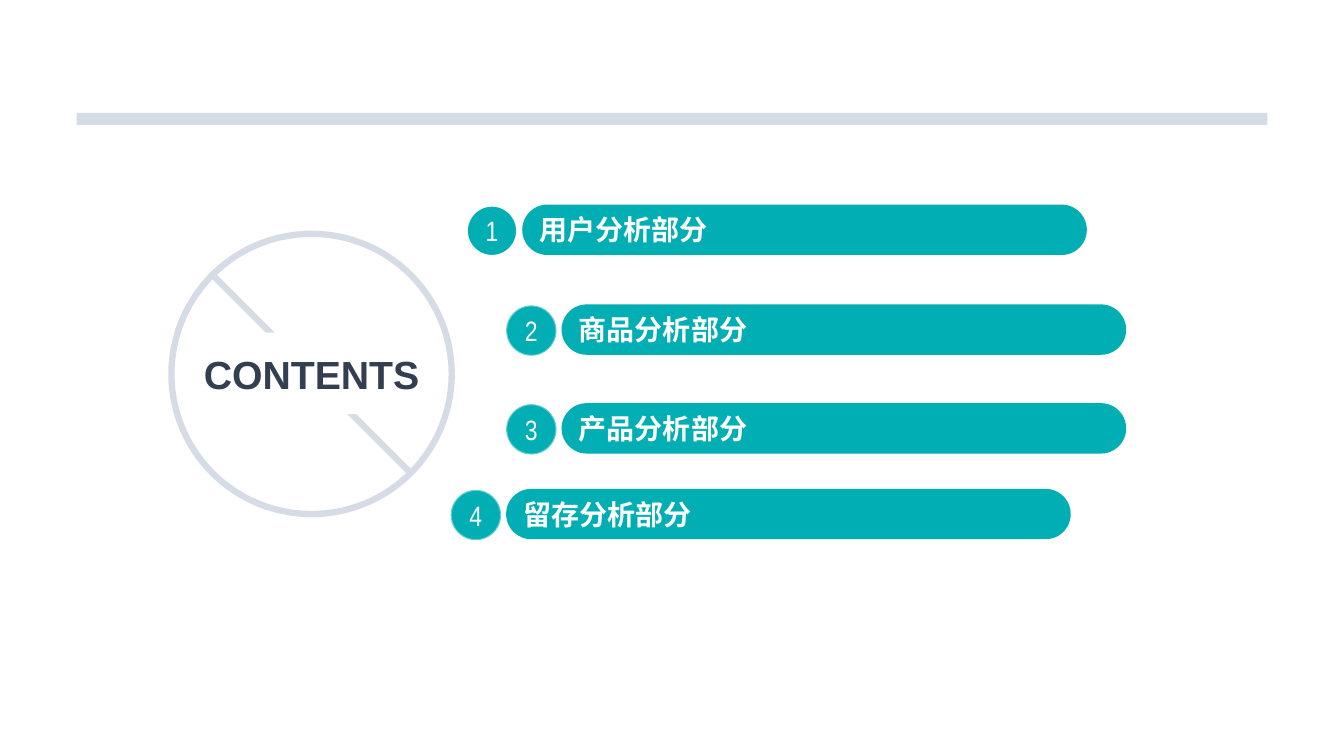
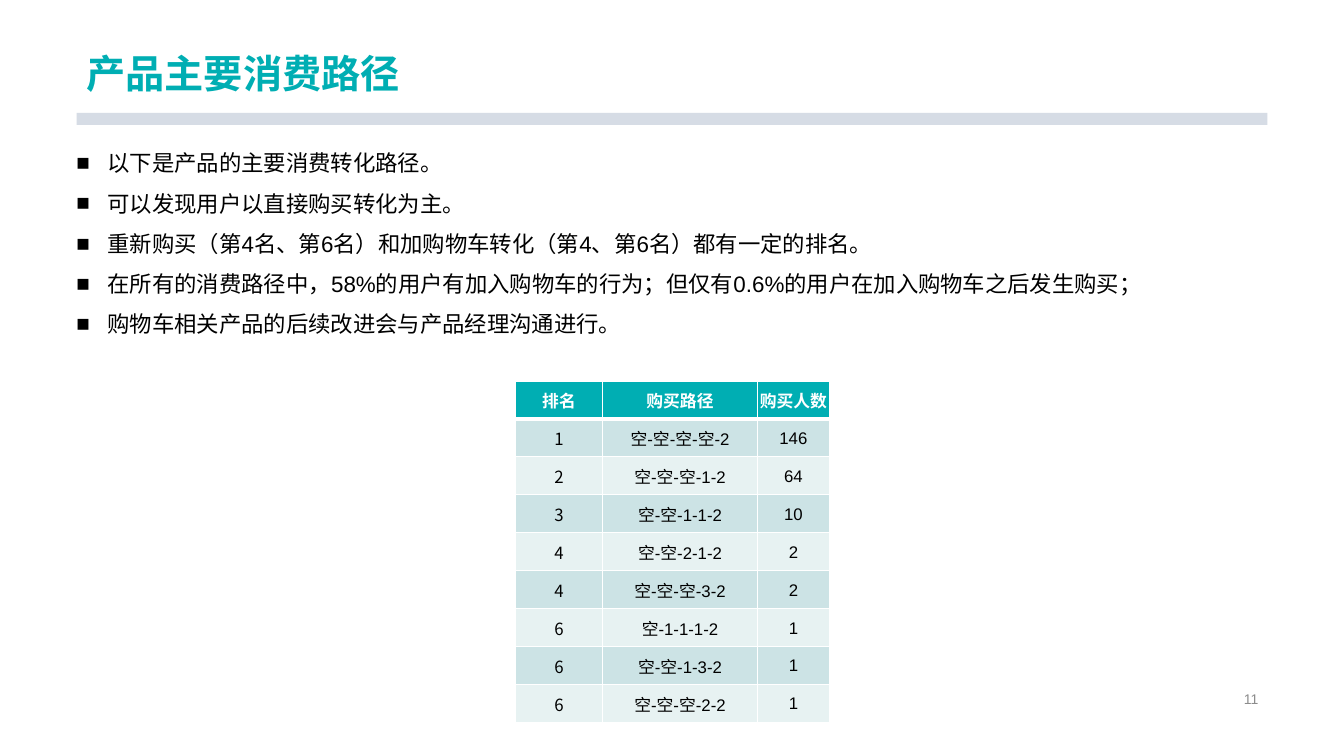
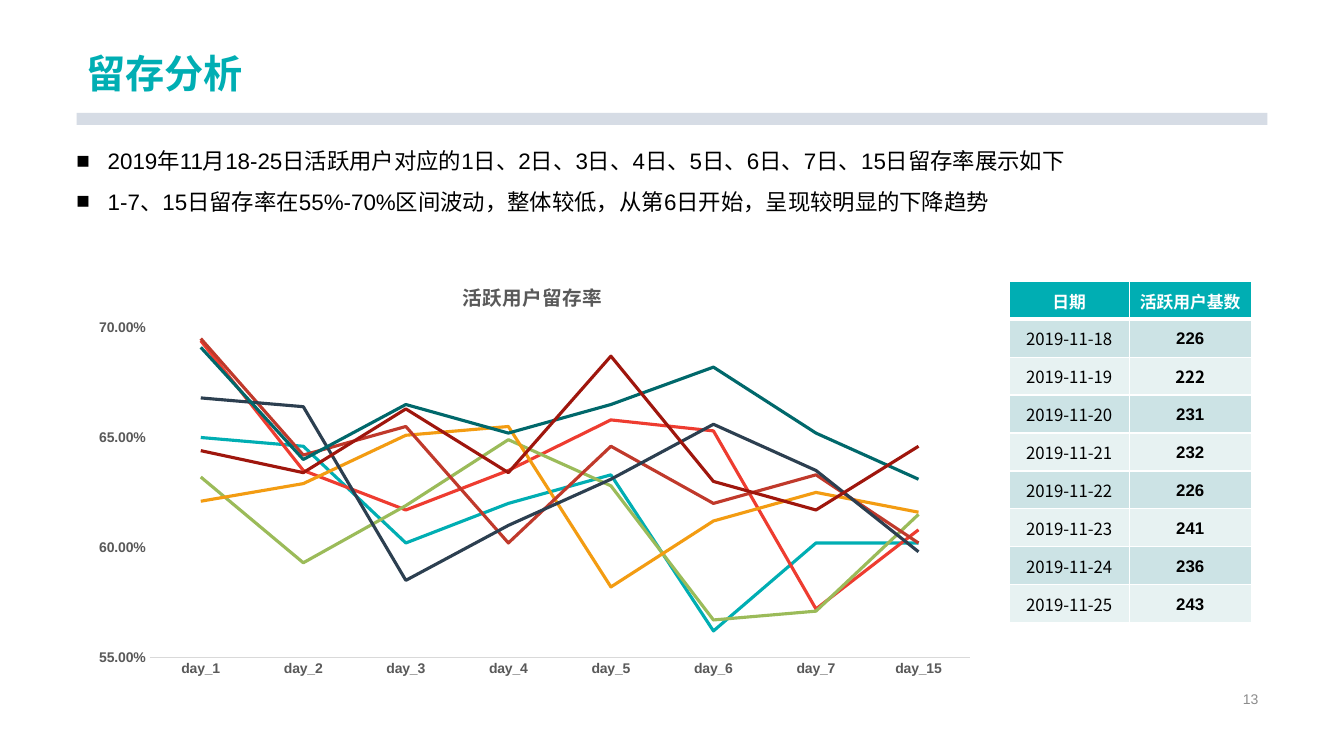
import pptx
import pptx.chart.data
import pptx.dml.color
import pptx.enum.chart
import pptx.enum.shapes
import pptx.enum.text
import pptx.oxml
import pptx.oxml.ns
import pptx.util

Inches, Pt = pptx.util.Inches, pptx.util.Pt
SHAPE = pptx.enum.shapes.MSO_SHAPE
ALIGN = pptx.enum.text.PP_ALIGN
ANCHOR = pptx.enum.text.MSO_ANCHOR
CHART = pptx.enum.chart
qn = pptx.oxml.ns.qn

TEAL, GREY, WHITE, BLACK = "00AEB3", "D6DCE5", "FFFFFF", "000000"
NAVY, AXIS_GREY, AXIS_LINE = "333F50", "595959", "D9D9D9"
ROW_FILLS = ("CCE3E5", "E7F2F2")
LATIN, NARROW, CJK = "Arial", "Arial Narrow", "Noto Sans CJK SC"

TITLE = {"size": Pt(28), "bold": True, "name": LATIN, "color": TEAL}
RING = {**TITLE, "color": NAVY}
BAR = {**TITLE, "size": Pt(20), "color": WHITE}
NUMBER = {**BAR, "bold": False, "name": NARROW}
BODY = {"size": Pt(16), "name": LATIN, "color": BLACK}
FOOTER = {"size": Pt(10), "name": LATIN, "color": "8C8C8C"}
HEAD = {"size": Pt(12), "bold": True, "name": LATIN, "color": WHITE}
CELL = {**HEAD, "bold": False, "color": BLACK}
AXIS = {"size": Pt(10), "bold": True, "name": LATIN, "color": AXIS_GREY}
CHART_TITLE = {**AXIS, "size": Pt(14), "name": CJK}


def rgb(value):
    return pptx.dml.color.RGBColor.from_string(value)


def xml(tag, content="", attrs=""):
    prefix = tag.split(":")[0]
    names = pptx.oxml.ns.nsdecls(*{prefix, "a"})
    return pptx.oxml.parse_xml(f"<{tag} {names} {attrs}>{content}</{tag}>")


def set_font(font, fmt):
    for name, value in fmt.items():
        if name == "color":
            font.color.rgb = rgb(value)
        else:
            setattr(font, name, value)


def manual_layout(x, y, w=None, h=None):
    parts = "" if w is None else '<c:layoutTarget val="inner"/>'
    parts += '<c:xMode val="edge"/><c:yMode val="edge"/>'
    for tag, value in zip("xywh", (x, y, w, h)):
        if value is not None:
            parts += f'<c:{tag} val="{value}"/>'
    return xml("c:layout", f"<c:manualLayout>{parts}</c:manualLayout>")


def replace_layout(parent, layout, index):
    for old in parent.findall(qn("c:layout")):
        parent.remove(old)
    parent.insert(index, layout)


class Deck:
    def __init__(self):
        self.prs = pptx.Presentation()
        self.prs.slide_width, self.prs.slide_height = Inches(13.33), Inches(7.5)
        self.s = None

    def slide(self, title=None, number=None):
        self.s = self.prs.slides.add_slide(self.prs.slide_layouts[6])
        self.shape(SHAPE.RECTANGLE, (0.76, 1.12, 11.81, 0.12), fill=GREY)
        if title:
            tf = self.text((0.76, 0, 11.81, 1.01), [title], TITLE, anchor=ANCHOR.BOTTOM)
            tf.paragraphs[0].line_spacing = 0.9
        if number:
            self.text((9.42, 6.82, 3.16, 0.23), [number], FOOTER, ALIGN.RIGHT)

    def fill_text(self, tf, lines, fmt, align=ALIGN.LEFT):
        for i, line in enumerate(lines):
            p = tf.paragraphs[0] if i == 0 else tf.add_paragraph()
            p.alignment = align
            r = p.add_run()
            r.text = line
            set_font(r.font, fmt)
            latin = r.font._element.find(qn("a:latin"))
            latin.addnext(xml("a:ea", attrs=f'typeface="{CJK}"'))

    def text(self, at, lines, fmt, align=ALIGN.LEFT, anchor=ANCHOR.MIDDLE):
        tf = self.s.shapes.add_textbox(*map(Inches, at)).text_frame
        tf.word_wrap, tf.vertical_anchor = True, anchor
        self.fill_text(tf, lines, fmt, align)
        return tf

    def bullets(self, at, lines):
        tf = self.text(at, lines, BODY, anchor=ANCHOR.TOP)
        for p in tf.paragraphs:
            p.line_spacing = 1.5
            pPr = p._p.get_or_add_pPr()
            pPr.set("marL", str(Inches(0.31)))
            pPr.set("indent", str(-Inches(0.31)))
            pPr.append(xml("a:buFont", attrs=f'typeface="{LATIN}"'))
            pPr.append(xml("a:buChar", attrs='char="■"'))

    def shape(self, kind, at, fill=None, line=None, width=1.5, alpha=None,
              text=None, fmt=None, align=ALIGN.CENTER, wrap=True):
        sp = self.s.shapes.add_shape(kind, *map(Inches, at))
        sp.shadow.inherit = False
        if fill:
            sp.fill.solid()
            sp.fill.fore_color.rgb = rgb(fill)
        else:
            sp.fill.background()
        if line:
            sp.line.color.rgb, sp.line.width = rgb(line), Pt(width)
            if alpha:
                color = sp.line._ln.find(".//" + qn("a:srgbClr"))
                color.append(xml("a:alpha", attrs=f'val="{alpha * 1000}"'))
        else:
            sp.line.fill.background()
        if text:
            tf = sp.text_frame
            tf.word_wrap, tf.vertical_anchor = wrap, ANCHOR.MIDDLE
            self.fill_text(tf, [text], fmt, align)
        return sp

    def line(self, start, end, color, width):
        points = map(Inches, (*start, *end))
        sp = self.s.shapes.add_connector(pptx.enum.shapes.MSO_CONNECTOR.STRAIGHT, *points)
        sp.line.color.rgb, sp.line.width = rgb(color), Pt(width)
        sp._element.spPr.append(xml("a:effectLst"))

    def agenda_item(self, number, text, left, top):
        self.shape(SHAPE.OVAL, (left - 0.55, top + 0.01, 0.5, 0.5), TEAL, WHITE,
                   alpha=None if number == 1 else 40, text=str(number), fmt=NUMBER, wrap=False)
        sp = self.shape(SHAPE.ROUNDED_RECTANGLE, (left, top, 5.6, 0.5), TEAL,
                        text=text, fmt=BAR, align=ALIGN.LEFT)
        sp.adjustments[0] = 0.5

    def table(self, left, top, widths, rows, formats, special=None):
        at = map(Inches, (left, top, sum(widths), 3.39))
        table = self.s.shapes.add_table(len(rows), len(widths), *at).table
        for column, width in zip(table.columns, widths):
            column.width = Inches(width)
        for i, row in enumerate(rows):
            for j, text in enumerate(row):
                fmt = HEAD if i == 0 else (special or {}).get((i, j), formats[j])
                self.cell(table.cell(i, j), text, fmt, i)

    def cell(self, cell, text, fmt, row):
        cell.vertical_anchor = ANCHOR.MIDDLE
        for side, inset in {"left": 0.01, "right": 0.01, "top": 0.01, "bottom": 0}.items():
            setattr(cell, "margin_" + side, Inches(inset))
        cell.fill.solid()
        cell.fill.fore_color.rgb = rgb(ROW_FILLS[(row - 1) % 2] if row else TEAL)
        self.fill_text(cell.text_frame, [text], fmt, ALIGN.CENTER)
        heavy = {(0, "B"), (1, "T")}
        fill = f'<a:solidFill><a:srgbClr val="{WHITE}"/></a:solidFill>'
        for i, side in enumerate("LRTB"):
            width = Pt(3 if (row, side) in heavy else 1)
            cell._tc.get_or_add_tcPr().insert(i, xml(f"a:ln{side}", fill, f'w="{width}"'))

    def line_chart(self, at, title, cats, series):
        data = pptx.chart.data.CategoryChartData(number_format="0.00%")
        data.categories = cats
        for i, values in enumerate(series.values(), 1):
            data.add_series(f"Series {i}", values)
        chart = self.s.shapes.add_chart(CHART.XL_CHART_TYPE.LINE, *map(Inches, at), data).chart
        set_font(chart.font, {"size": Pt(10), "name": LATIN, "color": BLACK})
        chart.has_legend = False
        self.fill_text(chart.chart_title.text_frame, [title], CHART_TITLE, ALIGN.CENTER)
        replace_layout(chart.chart_title._element, manual_layout(0.42, 0.04), 1)
        replace_layout(chart._chartSpace.chart.plotArea, manual_layout(0.08, 0.16, 0.9, 0.77), 0)
        for axis in (chart.category_axis, chart.value_axis):
            axis.has_major_gridlines = False
            axis.major_tick_mark = axis.minor_tick_mark = CHART.XL_TICK_MARK.NONE
            set_font(axis.tick_labels.font, AXIS)
        line = chart.category_axis.format.line
        line.color.rgb, line.width = rgb(AXIS_LINE), Pt(0.75)
        axis = chart.value_axis
        scale = {"minimum_scale": 0.55, "maximum_scale": 0.7, "major_unit": 0.05}
        for name, value in scale.items():
            setattr(axis, name, value)
        axis.format.line.fill.background()
        axis.tick_labels.number_format = "0.00%"
        axis.tick_labels.number_format_is_linked = False
        plot = chart.plots[0]
        plot.vary_by_categories = False
        for ser, color in zip(plot.series, series):
            ser.smooth = False
            ser.marker.style = CHART.XL_MARKER_STYLE.NONE
            ser.format.line.color.rgb, ser.format.line.width = rgb(color), Pt(2.25)


def contents(deck):
    deck.slide()
    deck.line((2.1, 2.72), (4.07, 4.69), GREY, 4.5)
    deck.shape(SHAPE.OVAL, (1.7, 2.32, 2.78, 2.78), line=GREY, width=4.5)
    deck.shape(SHAPE.RECTANGLE, (1.89, 3.3, 2.4, 0.81), WHITE, text="CONTENTS", fmt=RING)
    items = [("用户", 5.18, 2.03), ("商品", 5.57, 3.02), ("产品", 5.57, 4), ("留存", 5.02, 4.85)]
    for number, (topic, left, top) in enumerate(items, 1):
        deck.agenda_item(number, topic + "分析部分", left, top)


def purchase_paths(deck):
    deck.slide("产品主要消费路径", "11")
    deck.bullets((0.66, 1.3, 11.17, 2.07), [
        "以下是产品的主要消费转化路径。",
        "可以发现用户以直接购买转化为主。",
        "重新购买（第4名、第6名）和加购物车转化（第4、第6名）都有一定的排名。",
        "在所有的消费路径中，58%的用户有加入购物车的行为；但仅有0.6%的用户在加入购物车之后发生购买；",
        "购物车相关产品的后续改进会与产品经理沟通进行。",
    ])
    rows = [
        ("排名", "购买路径", "购买人数"),
        ("1", "空-空-空-空-2", "146"),
        ("2", "空-空-空-1-2", "64"),
        ("3", "空-空-1-1-2", "10"),
        ("4", "空-空-2-1-2", "2"),
        ("4", "空-空-空-3-2", "2"),
        ("6", "空-1-1-1-2", "1"),
        ("6", "空-空-1-3-2", "1"),
        ("6", "空-空-空-2-2", "1"),
    ]
    deck.table(5.11, 3.78, (0.87, 1.53, 0.72), rows, ({**CELL, "name": CJK}, CELL, CELL))


def retention(deck):
    deck.slide("留存分析", "13")
    deck.bullets((0.66, 1.28, 11.81, 0.86), [
        "2019年11月18-25日活跃用户对应的1日、2日、3日、4日、5日、6日、7日、15日留存率展示如下",
        "1-7、15日留存率在55%-70%区间波动，整体较低，从第6日开始，呈现较明显的下降趋势",
    ])
    cats = [f"day_{day}" for day in (*range(1, 8), 15)]
    deck.line_chart((0.76, 2.57, 9.04, 4.25), "活跃用户留存率", cats, {
        "00AEB3": (0.65, 0.646, 0.602, 0.62, 0.633, 0.562, 0.602, 0.602),
        "EE3C30": (0.694, 0.635, 0.617, 0.635, 0.658, 0.653, 0.572, 0.608),
        "9BBB59": (0.632, 0.593, 0.619, 0.649, 0.628, 0.567, 0.571, 0.615),
        "F39C12": (0.621, 0.629, 0.651, 0.655, 0.582, 0.612, 0.625, 0.616),
        "C0392B": (0.695, 0.642, 0.655, 0.602, 0.646, 0.62, 0.633, 0.602),
        "2C3F50": (0.668, 0.664, 0.585, 0.61, 0.631, 0.656, 0.635, 0.598),
        "00686B": (0.691, 0.64, 0.665, 0.652, 0.665, 0.682, 0.652, 0.631),
        "9F160D": (0.644, 0.634, 0.663, 0.634, 0.687, 0.63, 0.617, 0.646),
    })
    users = (226, 222, 231, 232, 226, 241, 236, 243)
    rows = [("日期", "活跃用户基数")]
    rows += [(f"2019-11-{day}", str(count)) for day, count in enumerate(users, 18)]
    count_fmt = {**CELL, "bold": True}
    deck.table(10.01, 2.79, (1.19, 1.21), rows, ({**CELL, "name": CJK}, count_fmt),
               special={(2, 1): {**count_fmt, "name": CJK}})


def main():
    deck = Deck()
    for build in (contents, purchase_paths, retention):
        build(deck)
    deck.prs.save("out.pptx")


if __name__ == "__main__":
    main()
